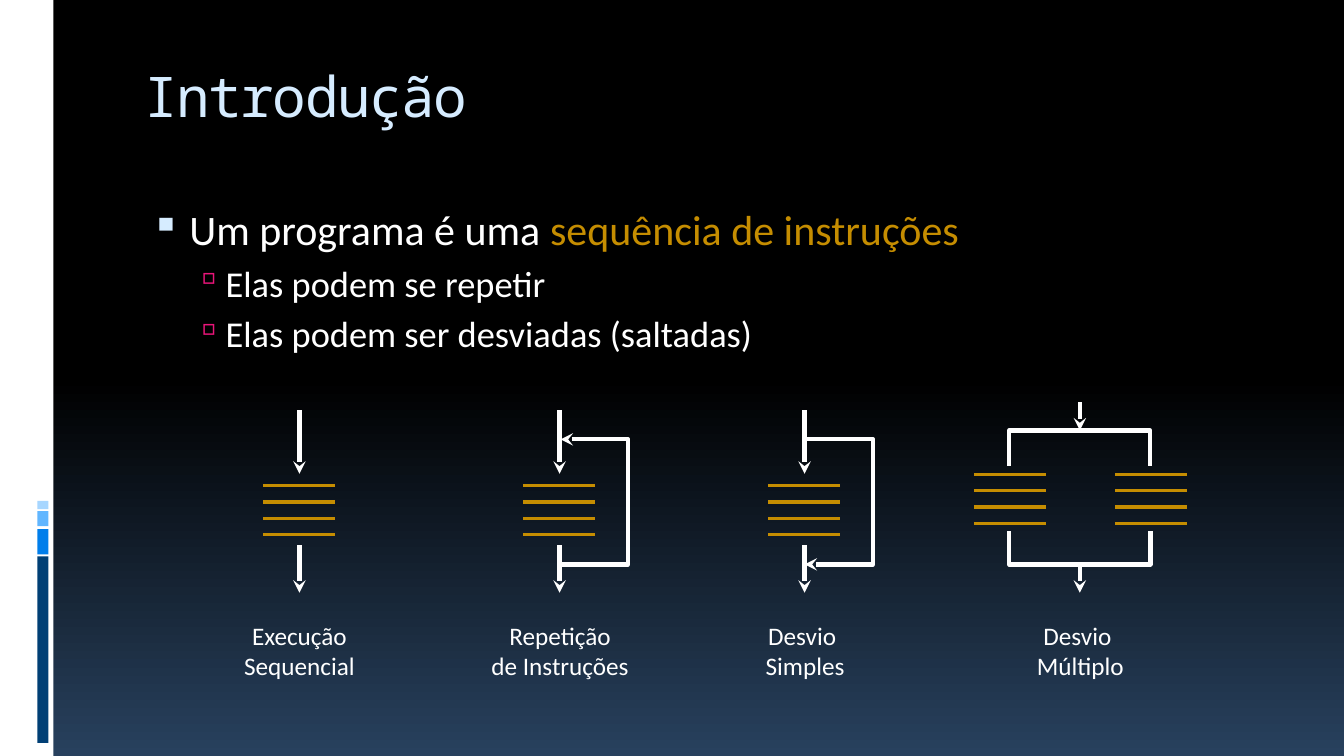
from lxml import etree
from pptx import Presentation
from pptx import util as u
from pptx.dml.color import RGBColor
from pptx.enum import shapes, text
from pptx.oxml import ns

PX = 9144
WHITE = RGBColor(0xFF, 0xFF, 0xFF)
BLACK = RGBColor(0x00, 0x00, 0x00)
NAVY = RGBColor(0x28, 0x41, 0x5E)
GOLD = RGBColor(0xC5, 0x8D, 0x01)
PALE_BLUE = RGBColor(0xD6, 0xEC, 0xFF)
PINK = RGBColor(0xEA, 0x15, 0x7A)
BAR_BLUES = [
    (552, 185, RGBColor(0x00, 0x3F, 0x75)),
    (525, 25, RGBColor(0x00, 0x7E, 0xEB)),
    (507, 15, RGBColor(0x61, 0xB6, 0xFF)),
    (497, 8, RGBColor(0xA7, 0xD6, 0xFF)),
]
BODY_FONT = "Calibri"
TITLE_FONT = "Noto Sans Mono"
LABEL_TOP = 610


def px(*lengths):
    return [u.Emu(length * PX) for length in lengths]


def add_xml(parent, tag, **attributes):
    return etree.SubElement(parent, ns.qn(tag), attributes)


def set_font(font, name, size, color):
    font.name = name
    font.size = u.Pt(size)
    font.color.rgb = color


def paint_background(slide):
    fill = slide.background.fill
    fill.gradient()
    fill.gradient_angle = 270
    for stop, position, color in zip(fill.gradient_stops, (0.5, 1), (BLACK, NAVY)):
        stop.position = position
        stop.color.rgb = color


def add_bar(slide, left, top, width, height, color):
    bar = slide.shapes.add_shape(
        shapes.MSO_SHAPE.RECTANGLE, *px(left, top, width, height))
    bar.shadow.inherit = False
    bar.fill.solid()
    bar.fill.fore_color.rgb = color
    bar.line.fill.background()


def add_side_band(slide, left, top, width, height):
    add_bar(slide, left, top, width, height, WHITE)
    for offset, bar_height, color in BAR_BLUES:
        add_bar(slide, left + 37, top + offset, 11, bar_height, color)


def add_title(slide, left, top, width, height):
    title = slide.shapes.title
    title.left, title.top, title.width, title.height = px(left, top, width, height)
    frame = title.text_frame
    frame.text = "Introdução"
    frame.vertical_anchor = text.MSO_ANCHOR.TOP
    heading = frame.paragraphs[0]
    heading.alignment = text.PP_ALIGN.LEFT
    set_font(heading.font, TITLE_FONT, 40, PALE_BLUE)
    heading.runs[0].font._element.set("spc", "-100")


def set_bullet(paragraph, char, color, percent, margin, hanging):
    properties = paragraph._p.get_or_add_pPr()
    properties.set("marL", str(margin * PX))
    properties.set("indent", str(-hanging * PX))
    add_xml(add_xml(properties, "a:buClr"), "a:srgbClr", val=str(color))
    add_xml(properties, "a:buSzPct", val=str(percent * 1000))
    add_xml(properties, "a:buChar", char=char)


def add_points(slide, left, top, width, height):
    frame = slide.shapes.add_textbox(*px(left, top, width, height)).text_frame
    frame.word_wrap = True
    main = frame.paragraphs[0]
    set_bullet(main, "▪", PALE_BLUE, 95, 45, 38)
    main.add_run().text = "Um programa é uma "
    highlight = main.add_run()
    highlight.text = "sequência de instruções"
    highlight.font.color.rgb = GOLD
    set_font(main.font, BODY_FONT, 30, WHITE)
    for detail in ("Elas podem se repetir", "Elas podem ser desviadas (saltadas)"):
        point = frame.add_paragraph()
        point.text = detail
        point.level = 1
        set_bullet(point, "▫", PINK, 90, 81, 31)
        point.space_before = u.Pt(5)
        set_font(point.font, BODY_FONT, 26, WHITE)


def add_line(flow, x1, y1, x2, y2, color=WHITE, width=3, arrow=None,
             kind=shapes.MSO_CONNECTOR.STRAIGHT):
    line = flow.shapes.add_connector(kind, *px(x1, y1, x2, y2))
    line.line.color.rgb = color
    line.line.width = u.Pt(width)
    if arrow:
        add_xml(line.line._get_or_add_ln(), arrow, type="stealth")
    add_xml(line._element.spPr, "a:effectLst")
    return line


def add_arrow(flow, x, top, bottom):
    add_line(flow, x, top, x, bottom, arrow="a:tailEnd")


def add_instructions(flow, left, top):
    for row in range(4):
        y = top + row * 16
        add_line(flow, left, y, left + 71, y, GOLD, 2.25)


def add_label(flow, axis, width, label):
    box = flow.shapes.add_textbox(*px(axis - width // 2, LABEL_TOP, width, 71))
    frame = box.text_frame
    frame.word_wrap = False
    frame.auto_size = text.MSO_AUTO_SIZE.SHAPE_TO_FIT_TEXT
    frame.text = label
    for paragraph in frame.paragraphs:
        paragraph.alignment = text.PP_ALIGN.CENTER
        set_font(paragraph.font, BODY_FONT, 18, WHITE)


def add_side_path(flow, axis, top, bottom, arrow):
    path_line = add_line(flow, axis, bottom, axis + 1, top, arrow=arrow,
                         kind=shapes.MSO_CONNECTOR.ELBOW)
    geometry = path_line._element.spPr.find(ns.qn("a:prstGeom"))
    guides = geometry.find(ns.qn("a:avLst"))
    if guides is None:
        guides = add_xml(geometry, "a:avLst")
    add_xml(guides, "a:gd", name="adj1", fmla="val 6900000")


def add_corner(flow, left, top, width, height, degrees, flipped):
    corner = add_line(flow, left, top, left + width, top + height,
                      kind=shapes.MSO_CONNECTOR.ELBOW)
    properties = corner._element.spPr
    properties.find(ns.qn("a:prstGeom")).set("prst", "bentConnector2")
    frame = properties.find(ns.qn("a:xfrm"))
    if degrees:
        frame.set("rot", str(degrees * 60000))
    if flipped:
        frame.set("flipV", "1")


def add_single_flow(slide, axis, top, label, label_width, side_arrow=None):
    flow = slide.shapes.add_group_shape()
    add_arrow(flow, axis, top, top + 63)
    add_instructions(flow, axis - 36, top + 75)
    add_arrow(flow, axis, top + 134, top + 181)
    add_label(flow, axis, label_width, label)
    if side_arrow:
        add_side_path(flow, axis, top + 29, top + 153, side_arrow)


def add_multiple_flow(slide, axis, top, label, label_width):
    flow = slide.shapes.add_group_shape()
    add_arrow(flow, axis, top, top + 28)
    for branch in (axis - 70, axis + 70):
        add_instructions(flow, branch - 35, top + 72)
    add_arrow(flow, axis, top + 161, top + 189)
    add_label(flow, axis, label_width, label)
    add_corner(flow, axis, top + 28, 70, 35, 0, False)
    add_corner(flow, axis - 70, top + 28, 70, 35, 180, True)
    add_corner(flow, axis - 70, top + 128, 70, 33, 180, False)
    add_corner(flow, axis + 18, top + 109, 33, 71, 90, False)


def main():
    presentation = Presentation()
    presentation.slide_width, presentation.slide_height = px(1333, 750)
    slide = presentation.slides.add_slide(presentation.slide_layouts[5])
    paint_background(slide)
    add_side_band(slide, 0, 0, 53, 750)
    add_title(slide, 133, 56, 1133, 100)
    add_points(slide, 133, 197, 1133, 195)
    add_single_flow(slide, 297, 407, "Execução\nSequencial", 134)
    add_single_flow(slide, 555, 407, "Repetição\nde Instruções", 159, "a:tailEnd")
    add_single_flow(slide, 798, 407, "Desvio \vSimples", 103, "a:headEnd")
    add_multiple_flow(slide, 1071, 399, "Desvio \vMúltiplo", 107)
    presentation.save("out.pptx")


if __name__ == "__main__":
    main()
